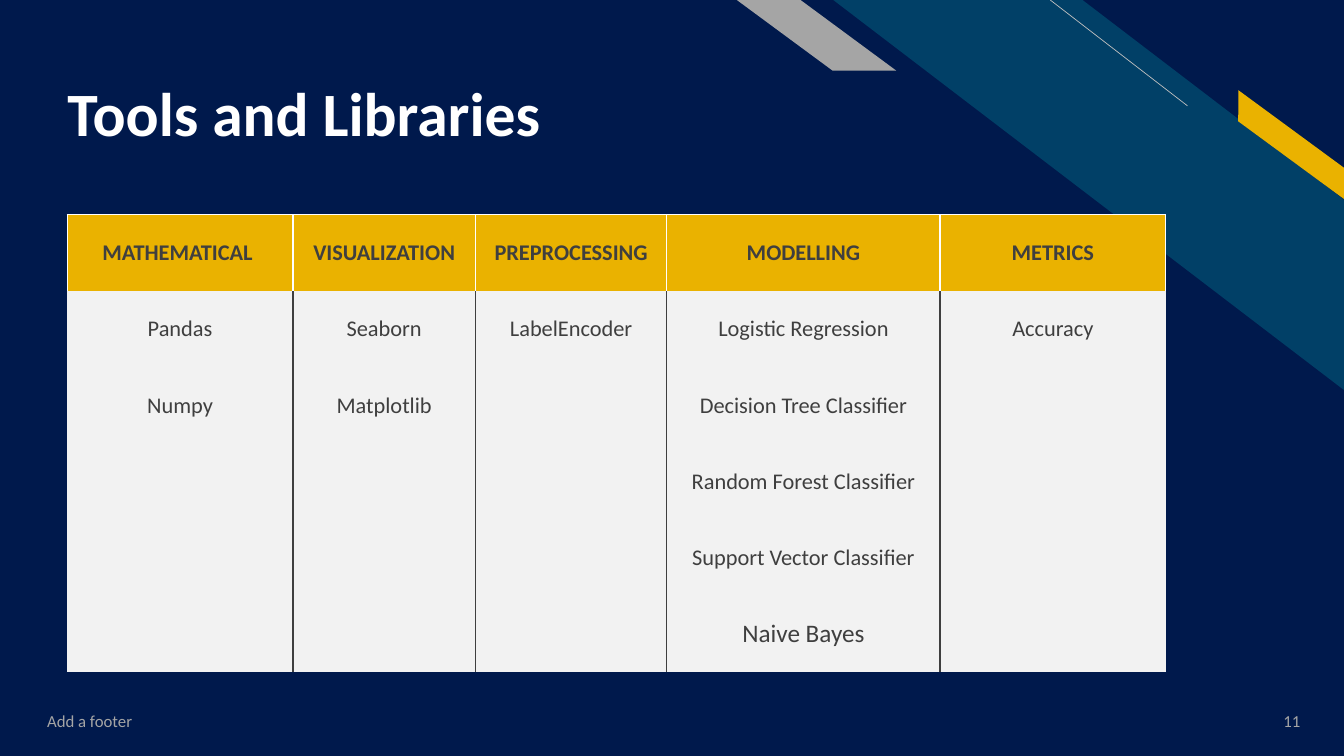
from dataclasses import dataclass
from itertools import zip_longest

from lxml import etree
from pptx import Presentation
from pptx.dml.color import RGBColor
from pptx.enum import shapes, text
from pptx.oxml import ns
from pptx.util import Pt

TITLE = "Tools and Libraries"
FOOTER = "Add a footer"
PAGE = "11"
LIBRARIES = {
    "MATHEMATICAL ": ["Pandas", "Numpy"],
    "VISUALIZATION": ["Seaborn", "Matplotlib"],
    "PREPROCESSING": ["LabelEncoder"],
    "MODELLING": [
        "Logistic Regression",
        "Decision Tree Classifier",
        "Random Forest Classifier",
        "Support Vector Classifier",
        "Naive Bayes",
    ],
    "METRICS": ["Accuracy"],
}
LARGER = {"Naive Bayes"}
COLUMN_WIDTHS = [161.3, 130.3, 136.8, 195.1, 161.3]
ROW_HEIGHT = 54.48
NO_GRID = "{2D5ABB26-0587-4C30-8999-92F81FD0307C}"


@dataclass(frozen=True)
class Theme:
    font: str = "Calibri"
    navy: str = "00194C"
    teal: str = "014067"
    gold: str = "EAB200"
    grey: str = "A5A5A5"
    hairline: str = "BFBFBF"
    panel: str = "F2F2F2"
    ink: str = "3F3F3F"
    white: str = "FFFFFF"
    title: int = 44
    large: int = 18
    body: int = 16
    small: int = 12


theme = Theme()
STRIPES = [
    (shapes.MSO_SHAPE.DIAGONAL_STRIPE, (595.2, 0, 364.8, 278.6), 0.512, 0, theme.teal),
    (shapes.MSO_SHAPE.PARALLELOGRAM, (869, 94.3, 106.6, 18), 0.72, 36.3, theme.gold),
    (shapes.MSO_SHAPE.PARALLELOGRAM, (526.3, 0, 113.8, 50.4), 1.356, 0, theme.grey),
]


def points(*lengths):
    return [Pt(length) for length in lengths]


def paint(fill, color):
    fill.solid()
    fill.fore_color.rgb = RGBColor.from_string(color)


def write(frame, words, size=theme.body, color=theme.ink, bold=False,
          align=text.PP_ALIGN.LEFT, spacing=1.0):
    paragraph = frame.paragraphs[0]
    paragraph.alignment = align
    paragraph.line_spacing = spacing
    run = paragraph.add_run()
    run.text = words
    run.font.name = theme.font
    run.font.size = Pt(size)
    run.font.bold = bold
    run.font.color.rgb = RGBColor.from_string(color)


def add_stripe(slide, kind, box, slant, turn, color):
    stripe = slide.shapes.add_shape(kind, *points(*box))
    stripe.adjustments[0] = slant
    stripe.rotation = turn
    stripe.shadow.inherit = False
    stripe._element.spPr.xfrm.set("flipH", "1")
    paint(stripe.fill, color)
    stripe.line.fill.background()


def add_hairline(slide):
    hairline = slide.shapes.add_connector(
        shapes.MSO_CONNECTOR.STRAIGHT, *points(848.2, 75.6, 750.2, 0))
    hairline.line.color.rgb = RGBColor.from_string(theme.hairline)
    hairline.line.width = Pt(0.5)
    etree.SubElement(hairline._element.spPr, ns.qn("a:effectLst"))


def set_borders(cell, sides, color):
    properties = cell._tc.get_or_add_tcPr()
    for place, side in enumerate(sides):
        border = etree.Element(ns.qn(f"a:ln{side}"), w=str(Pt(1)))
        solid = etree.SubElement(border, ns.qn("a:solidFill"))
        etree.SubElement(solid, ns.qn("a:srgbClr"), val=color)
        properties.insert(place, border)


def add_libraries(slide):
    rows = [list(LIBRARIES), *zip_longest(*LIBRARIES.values(), fillvalue="")]
    last = len(COLUMN_WIDTHS) - 1
    table = slide.shapes.add_table(
        len(rows), len(COLUMN_WIDTHS),
        *points(48, 153.4, sum(COLUMN_WIDTHS), ROW_HEIGHT * len(rows))).table
    table._tbl.tblPr.find(ns.qn("a:tableStyleId")).text = NO_GRID
    table.horz_banding = False
    for column, width in zip(table.columns, COLUMN_WIDTHS):
        column.width = Pt(width)
    for r, entries in enumerate(rows):
        table.rows[r].height = Pt(ROW_HEIGHT)
        header = r == 0
        for c, entry in enumerate(entries):
            cell = table.cell(r, c)
            cell.vertical_anchor = text.MSO_ANCHOR.MIDDLE
            paint(cell.fill, theme.gold if header else theme.panel)
            if header:
                set_borders(cell, "LRT", theme.white)
            else:
                inner = ("L" if c > 0 else "") + ("R" if c < last else "")
                set_borders(cell, inner, theme.ink)
            if entry:
                write(cell.text_frame, entry, bold=header, align=text.PP_ALIGN.CENTER,
                      size=theme.large if entry in LARGER else theme.body)


def add_note(slide, words, box, align):
    frame = slide.shapes.add_textbox(*points(*box)).text_frame
    frame.word_wrap = True
    frame.vertical_anchor = text.MSO_ANCHOR.MIDDLE
    write(frame, words, size=theme.small, color=theme.grey, align=align)


def add_title(slide):
    title = slide.shapes.title
    title.left, title.top, title.width, title.height = points(41, 16.6, 655.9, 90.7)
    frame = title.text_frame
    frame.vertical_anchor = text.MSO_ANCHOR.BOTTOM
    frame.margin_bottom = 0
    write(frame, TITLE, size=theme.title, color=theme.white, bold=True, spacing=0.9)


def main():
    deck = Presentation()
    deck.slide_width, deck.slide_height = points(960, 540)
    slide = deck.slides.add_slide(deck.slide_layouts[5])
    paint(slide.background.fill, theme.navy)
    for stripe in STRIPES:
        add_stripe(slide, *stripe)
    add_hairline(slide)
    add_title(slide)
    add_libraries(slide)
    add_note(slide, FOOTER, (26.6, 500.4, 324, 28.8), text.PP_ALIGN.LEFT)
    add_note(slide, PAGE, (877.7, 500.4, 58.3, 28.8), text.PP_ALIGN.RIGHT)
    deck.save("out.pptx")


if __name__ == "__main__":
    main()
